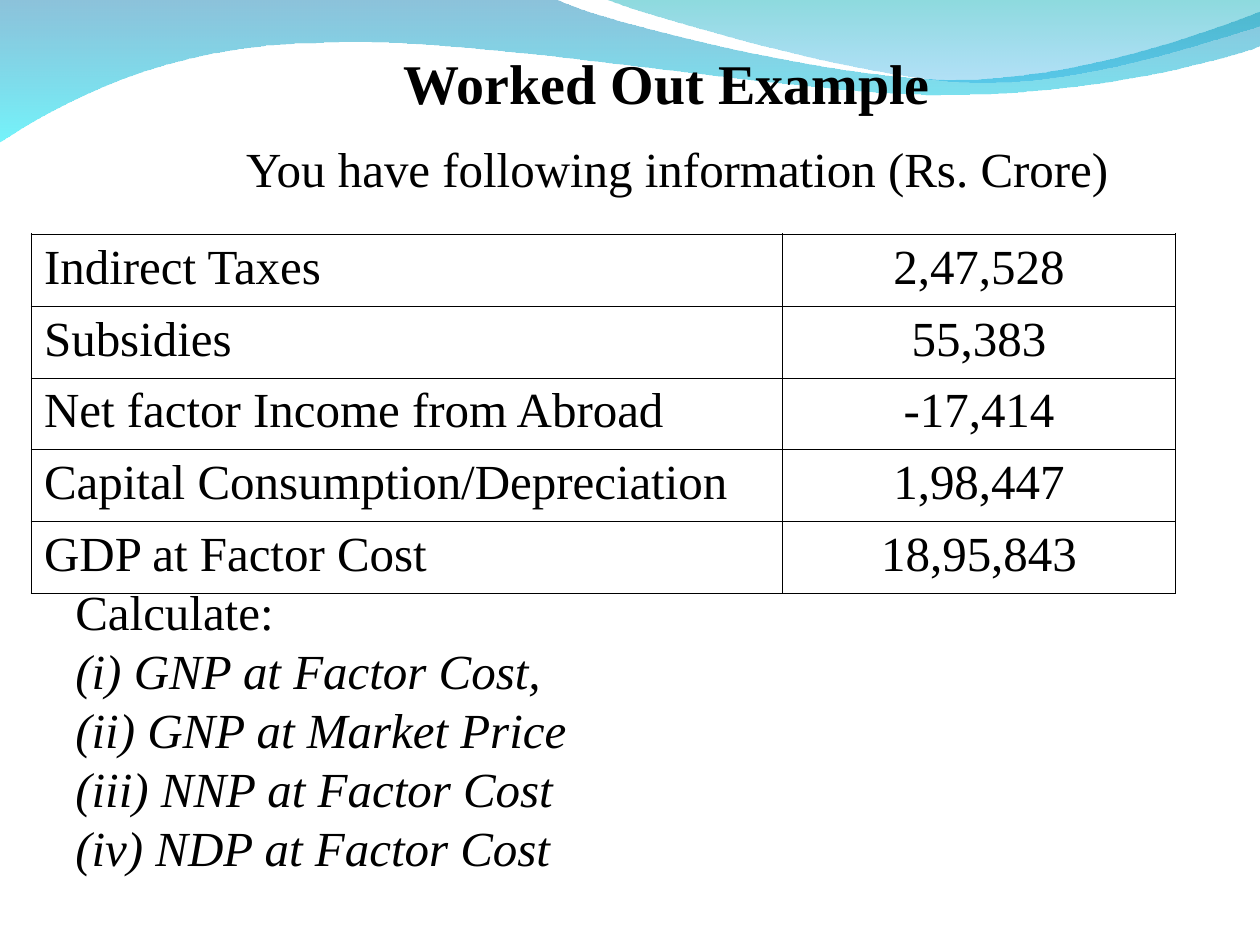
from lxml import etree
from pptx import Presentation
from pptx.dml.color import RGBColor
from pptx.enum.text import MSO_ANCHOR, MSO_AUTO_SIZE, PP_ALIGN
from pptx.oxml.ns import qn
from pptx.util import Inches, Pt

LEFT, CENTER = PP_ALIGN.LEFT, PP_ALIGN.CENTER
MIDDLE, BOTTOM = MSO_ANCHOR.MIDDLE, MSO_ANCHOR.BOTTOM
NO_AUTOFIT = MSO_AUTO_SIZE.NONE

FONT = "Times New Roman"
COLORS = {
    "ink": "000000",
    "deep_blue": "0079AF",
    "cyan": "00EBF8",
    "teal": "00ADB6",
    "sky": "009BE5",
}
SLIDE_W, SLIDE_H = 10, 7.5
TITLE_ONLY = 5
THIN, THICK = 0.45, 1.08
COLUMN_WIDTHS = (5.96, 3.12)
ROW_HEIGHT = 0.57

LONG_WAVE = [
    [(0, -0.01)],
    [(4.4, -0.01)],
    [(4.76, 0.17), (6.64, 0.63), (7.58, 0.63)],
    [(8.53, 0.63), (9.58, 0.26), (10, 0.09)],
    [(10.01, 0.36)],
    [(9.83, 0.44), (8.7, 0.76), (7.46, 0.75)],
    [(6.22, 0.75), (3.82, 0.28), (2.57, 0.34)],
    [(1.29, 0.35), (0.46, 0.83), (-0.01, 1.13)],
    [(0, -0.01)],
]
CORNER_WAVE = [
    [(4.79, -0.01)],
    [(5.09, 0.11), (6.82, 0.62), (7.69, 0.65)],
    [(8.56, 0.69), (9.61, 0.32), (10, 0.21)],
    [(10, 0)],
    [(4.79, -0.01)],
]
ACCOUNTS = [
    ("Indirect Taxes", "2,47,528"),
    ("Subsidies", "55,383"),
    ("Net factor Income from Abroad", "-17,414"),
    ("Capital Consumption/Depreciation", "1,98,447"),
    ("GDP at Factor Cost", "18,95,843"),
]
TASKS = (
    "(i) GNP at Factor Cost, \n(ii) GNP at Market Price \n"
    "(iii) NNP at Factor Cost\n(iv) NDP at Factor Cost"
)


def write(paragraph, text, size=28, bold=False, italic=False, align=LEFT):
    paragraph.alignment = align
    for index, line in enumerate(text.split("\n")):
        if index:
            paragraph.add_line_break()
        if line:
            run = paragraph.add_run()
            run.text = line
            run.font.name = FONT
            run.font.size = Pt(size)
            run.font.bold = bold
            run.font.italic = italic
            run.font.color.rgb = RGBColor.from_string(COLORS["ink"])


def bend(wave, segments):
    steps = iter(list(wave._element.iter(qn("a:lnTo"))))
    for segment in segments[1:]:
        lines = [next(steps) for _ in segment]
        if len(lines) == 3:
            curve = etree.Element(qn("a:cubicBezTo"))
            lines[0].addprevious(curve)
            for line in lines:
                curve.append(line[0])
                line.getparent().remove(line)


def add_wave(slide, segments, stops):
    start, *rest = [
        (Inches(x), Inches(y)) for segment in segments for x, y in segment
    ]
    builder = slide.shapes.build_freeform(*start)
    builder.add_line_segments(rest, close=True)
    wave = builder.convert_to_shape()
    bend(wave, segments)
    wave.shadow.inherit = False
    wave.line.fill.background()
    wave.fill.gradient()
    wave.fill.gradient_angle = 270
    for stop, (color, opacity) in zip(wave.fill.gradient_stops, stops):
        stop.color.rgb = RGBColor.from_string(COLORS[color])
    tints = wave._element.spPr.iter(qn("a:srgbClr"))
    for tint, (color, opacity) in zip(tints, stops):
        etree.SubElement(tint, qn("a:alpha"), val=str(opacity * 1000))


def add_title(slide, text):
    title = slide.shapes.title
    title.left, title.top = Inches(1.17), Inches(0.25)
    title.width, title.height = Inches(8.25), Inches(0.67)
    frame = title.text_frame
    frame.auto_size = NO_AUTOFIT
    frame.vertical_anchor = BOTTOM
    frame.margin_left = frame.margin_right = frame.margin_bottom = 0
    write(frame.paragraphs[0], text, size=32, bold=True, align=CENTER)
    slide.shapes._spTree.append(title._element)


def add_text(slide, left, top, width, height):
    box = slide.shapes.add_textbox(*map(Inches, (left, top, width, height)))
    frame = box.text_frame
    frame.word_wrap = True
    frame.vertical_anchor = MIDDLE
    return frame.paragraphs[0]


def set_borders(cell, widths):
    properties = cell._tc.get_or_add_tcPr()
    for position, (side, width) in enumerate(widths.items()):
        line = etree.Element(qn(f"a:ln{side}"), w=str(Pt(width)))
        fill = etree.SubElement(line, qn("a:solidFill"))
        etree.SubElement(fill, qn("a:srgbClr"), val=COLORS["ink"])
        properties.insert(position, line)


def add_accounts(slide, left, top):
    rows, columns = len(ACCOUNTS), len(COLUMN_WIDTHS)
    size = sum(COLUMN_WIDTHS), rows * ROW_HEIGHT
    table = slide.shapes.add_table(
        rows, columns, *map(Inches, (left, top, *size))
    ).table
    table.first_row = table.horz_banding = False
    for column, width in zip(table.columns, COLUMN_WIDTHS):
        column.width = Inches(width)
    for r, account in enumerate(ACCOUNTS):
        for c, text in enumerate(account):
            cell = table.cell(r, c)
            cell.fill.background()
            write(cell.text_frame.paragraphs[0], text, align=CENTER if c else LEFT)
            set_borders(cell, {
                "L": THICK if c == 0 else THIN,
                "R": THICK if c == columns - 1 else THIN,
                "T": THICK if r == 0 else THIN,
                "B": THIN,
            })


def main():
    deck = Presentation()
    deck.slide_width, deck.slide_height = Inches(SLIDE_W), Inches(SLIDE_H)
    slide = deck.slides.add_slide(deck.slide_layouts[TITLE_ONLY])
    add_wave(slide, LONG_WAVE, [("deep_blue", 45), ("cyan", 55)])
    add_wave(slide, CORNER_WAVE, [("teal", 45), ("sky", 30)])
    add_title(slide, "Worked Out Example")
    add_accounts(slide, 0.25, 1.86)
    subtitle = add_text(slide, 1.25, 1, 8.25, 0.67)
    write(subtitle, "You have following information (Rs. Crore)", align=CENTER)
    questions = add_text(slide, 0.5, 4.66, 9.08, 2.25)
    write(questions, "Calculate: \n")
    write(questions, TASKS, italic=True)
    deck.save("out.pptx")


if __name__ == "__main__":
    main()
